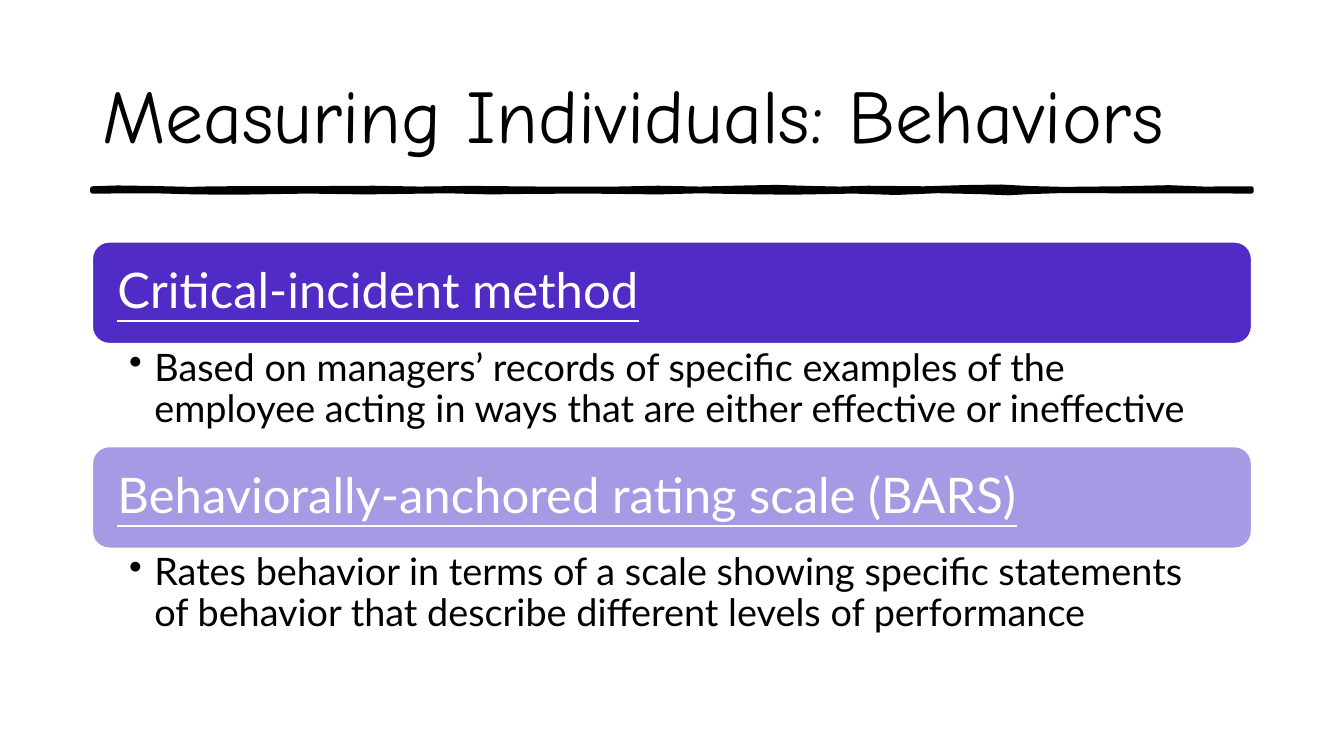
from lxml import etree
from pptx import Presentation
from pptx.dml.color import RGBColor
from pptx.enum.shapes import MSO_SHAPE
from pptx.enum.text import MSO_ANCHOR, PP_ALIGN
from pptx.oxml.ns import qn
from pptx.util import Pt

ROUNDED = MSO_SHAPE.ROUNDED_RECTANGLE
MIDDLE, TOP = MSO_ANCHOR.MIDDLE, MSO_ANCHOR.TOP
LEFT_ALIGNED = PP_ALIGN.LEFT
BLACK = RGBColor(0x00, 0x00, 0x00)
WHITE = RGBColor(0xFF, 0xFF, 0xFF)
PURPLE = RGBColor(0x51, 0x2B, 0xC5)
LAVENDER = RGBColor(0xA5, 0x9B, 0xE5)

TITLE = "Measuring Individuals: Behaviors"
METHODS = [
    ("Critical-incident method", PURPLE,
     "Based on managers’ records of specific examples of the employee "
     "acting in ways that are either effective or ineffective"),
    ("Behaviorally-anchored rating scale (BARS)", LAVENDER,
     "Rates behavior in terms of a scale showing specific statements "
     "of behavior that describe different levels of performance"),
]
# Hand-drawn rule: (x, y) along the upper edge, then back along the lower edge
RULE_UPPER = [(66, 134.6), (84, 134), (110, 134.4), (136, 135), (153, 134.6),
              (235, 134.4), (267, 134.2), (300, 134.8), (335, 134.3),
              (387, 134.8), (440, 134.8), (470, 134.2), (500, 134.8),
              (533, 134), (555, 133.6), (577, 134.3), (600, 134.8),
              (620, 134.2), (660, 134.6), (690, 133.7), (715, 133.3),
              (735, 134.4), (760, 135), (800, 134.6), (835, 133.8),
              (860, 134.8), (894, 134.6)]
RULE_LOWER = [(894, 136.8), (850, 136.6), (800, 136.6), (760, 136.4),
              (735, 137.2), (720, 138), (700, 137.2), (670, 136.5),
              (640, 137.8), (610, 136.8), (565, 137.6), (530, 137.2),
              (500, 136.6), (470, 137.4), (420, 136.8), (380, 137),
              (350, 137.4), (320, 136.6), (260, 137.4), (220, 136.8),
              (170, 137.6), (140, 137.4), (110, 136.6), (66, 136.8)]

LEFT, WIDTH = 66, 828
FIRST_TOP, STEP = 172.8, 146.2
BAR_HEIGHT, DETAIL_HEIGHT = 72.6, 74


def write(shape, text, font_name, size, color, anchor, insets, bullet=False):
    """Fill a shape with one left-aligned paragraph; insets run left, top, right, bottom."""
    frame = shape.text_frame
    frame.word_wrap = True
    frame.vertical_anchor = anchor
    (frame.margin_left, frame.margin_top,
     frame.margin_right, frame.margin_bottom) = map(Pt, insets)
    para = frame.paragraphs[0]
    para.text = text
    para.alignment = LEFT_ALIGNED
    if bullet:
        properties = para._p.get_or_add_pPr()
        properties.set("marL", str(Pt(18)))
        properties.set("indent", str(-Pt(18)))
        etree.SubElement(properties, qn("a:buChar")).set("char", "•")
    para.font.name = font_name
    para.font.size = Pt(size)
    para.font.color.rgb = color
    return para


def add_rule(page):
    start, *rest = RULE_UPPER + RULE_LOWER
    builder = page.shapes.build_freeform(Pt(start[0]), Pt(start[1]))
    builder.add_line_segments([(Pt(x), Pt(y)) for x, y in rest], close=True)
    rule = builder.convert_to_shape()
    rule.shadow.inherit = False
    rule.fill.solid()
    rule.fill.fore_color.rgb = BLACK
    rule.line.color.rgb = BLACK
    rule.line.width = Pt(3)


def add_method(page, top, name, color, detail):
    bar = page.shapes.add_shape(ROUNDED, Pt(LEFT), Pt(top), Pt(WIDTH), Pt(BAR_HEIGHT))
    bar.shadow.inherit = False
    bar.fill.solid()
    bar.fill.fore_color.rgb = color
    bar.line.color.rgb = WHITE
    bar.line.width = Pt(1)
    heading = write(bar, name, "Lato", 35, WHITE, MIDDLE, (14.4, 14.4, 14.4, 14.4))
    heading.font.underline = True
    heading.line_spacing = 0.9

    box = page.shapes.add_textbox(Pt(LEFT), Pt(top + BAR_HEIGHT), Pt(WIDTH), Pt(DETAIL_HEIGHT))
    para = write(box, detail, "Lato", 27, BLACK, TOP, (26.3, 3.6, 19.2, 3.6), bullet=True)
    para.line_spacing = 0.9


deck = Presentation()
deck.slide_width, deck.slide_height = Pt(960), Pt(540)
page = deck.slides.add_slide(deck.slide_layouts[6])

add_rule(page)
title = page.shapes.add_textbox(Pt(LEFT), Pt(28.8), Pt(WIDTH), Pt(104.4))
write(title, TITLE, "Comic Neue", 54, BLACK, MIDDLE, (7.2, 3.6, 7.2, 3.6))
for index, (name, color, detail) in enumerate(METHODS):
    add_method(page, FIRST_TOP + index * STEP, name, color, detail)

deck.save("out.pptx")
